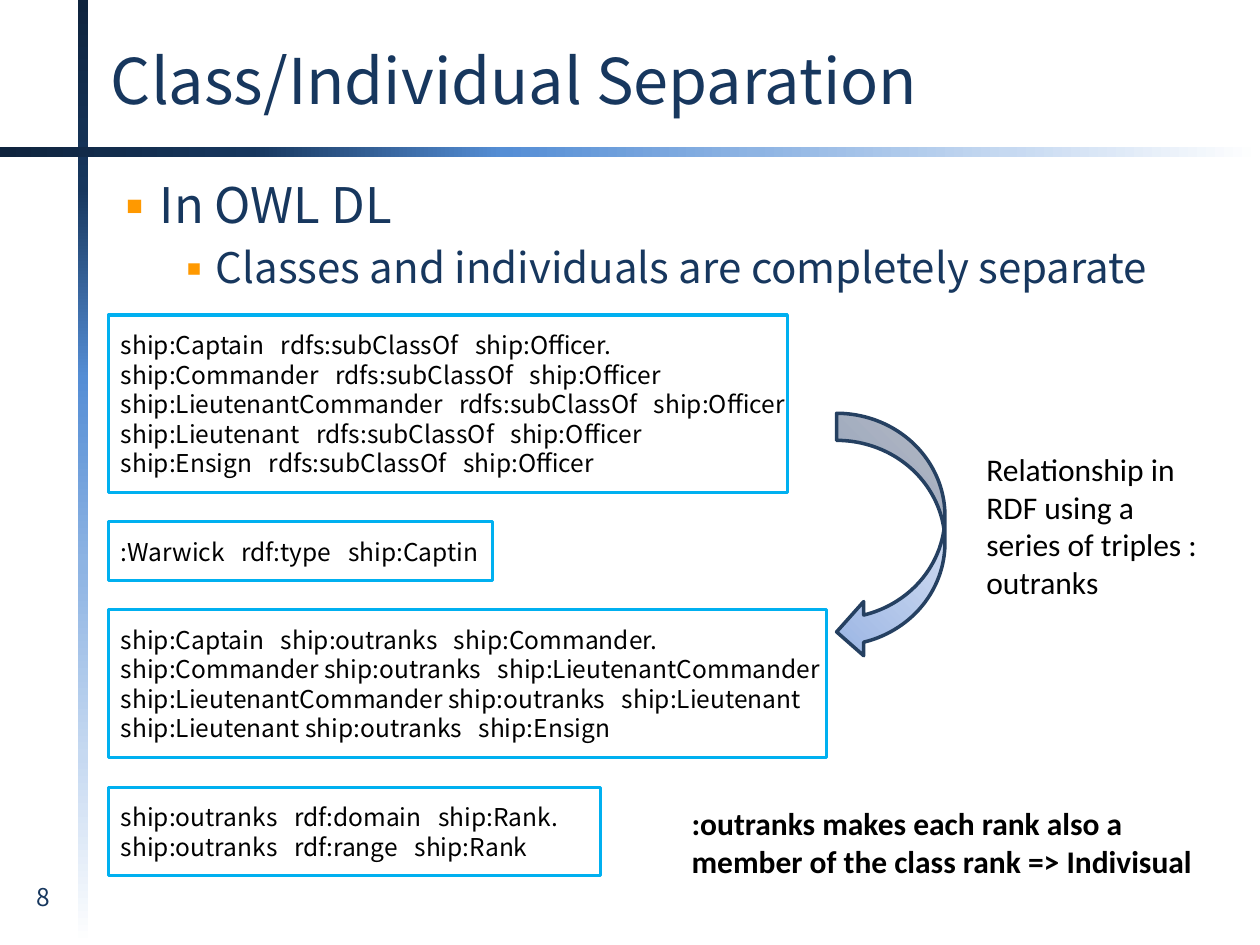
"""Build a slide on separating classes and individuals in OWL DL."""
from dataclasses import dataclass

import lxml.etree
import pptx
import pptx.dml.color
import pptx.enum.shapes
import pptx.enum.text
import pptx.oxml
import pptx.oxml.ns
import pptx.util

Inches = pptx.util.Inches
Pt = pptx.util.Pt
RGBColor = pptx.dml.color.RGBColor
Shapes = pptx.enum.shapes.MSO_SHAPE
Align = pptx.enum.text.PP_ALIGN
Anchor = pptx.enum.text.MSO_ANCHOR
AutoSize = pptx.enum.text.MSO_AUTO_SIZE

NAVY = RGBColor(0x17, 0x37, 0x5E)
BLACK = RGBColor(0, 0, 0)
CYAN = RGBColor(0x00, 0xB0, 0xF0)
ORANGE = RGBColor(0xFF, 0x99, 0x00)
ARROW_LINE = RGBColor(0x25, 0x40, 0x61)
BAR_COLORS = [RGBColor.from_string(color) for color in
              ("0F243E", "17375E", "558ED5", "8EB4E3", "C6D9F1", "FFFFFF")]
ARROW_COLORS = [RGBColor.from_string(color) for color in ("9AB5E4", "C2D1ED", "E1E8F5")]
MAIN_FONT = "Noto Sans CJK KR"
NOTE_FONT = "Calibri"
LINE_RATIO = 1.21
DOWN = '<a:lin ang="5400000" scaled="0"/>'
ACROSS = '<a:lin ang="0" scaled="0"/>'
FROM_CORNER = '<a:path path="circle"><a:fillToRect t="100000" r="100000"/></a:path>'


@dataclass
class Box:
    left: float
    top: float
    width: float
    height: float

    def lengths(self) -> list:
        return [Inches(value) for value in (self.left, self.top, self.width, self.height)]


@dataclass
class Style:
    size: int
    font: str = MAIN_FONT
    color: RGBColor = BLACK
    bold: bool = False


@dataclass
class Bullet:
    text: str
    level: int
    size: int
    margin: float
    hanging: float


@dataclass
class CodeBox:
    box: Box
    lines: list


CODE_BOXES = [
    CodeBox(Box(0.86, 2.5, 5.39, 1.41), [
        "ship:Captain   rdfs:subClassOf   ship:Officer.",
        "ship:Commander   rdfs:subClassOf   ship:Officer",
        "ship:LieutenantCommander   rdfs:subClassOf   ship:Officer",
        "ship:Lieutenant   rdfs:subClassOf   ship:Officer",
        "ship:Ensign   rdfs:subClassOf   ship:Officer"]),
    CodeBox(Box(0.86, 4.14, 3.05, 0.47), [":Warwick   rdf:type   ship:Captin"]),
    CodeBox(Box(0.86, 4.84, 5.7, 1.17), [
        "ship:Captain   ship:outranks   ship:Commander.",
        "ship:Commander ship:outranks   ship:LieutenantCommander",
        "ship:LieutenantCommander ship:outranks   ship:Lieutenant",
        "ship:Lieutenant ship:outranks   ship:Ensign"]),
    CodeBox(Box(0.86, 6.25, 3.91, 0.7), [
        "ship:outranks   rdf:domain   ship:Rank.",
        "ship:outranks   rdf:range   ship:Rank"]),
]
BULLETS = [
    Bullet("In OWL DL", 0, 28, 0.38, 0.38),
    Bullet("Classes and individuals are completely separate", 1, 24, 0.81, 0.31),
]


def place(shape, box: Box) -> None:
    shape.left, shape.top, shape.width, shape.height = box.lengths()


def add_run(paragraph, text: str, style: Style, align=Align.LEFT) -> None:
    paragraph.alignment = align
    if style.font == MAIN_FONT:
        paragraph.line_spacing = Pt(round(style.size * LINE_RATIO, 1))
    run = paragraph.add_run()
    run.text = text
    run.font.name = style.font
    run.font.size = Pt(style.size)
    run.font.bold = style.bold
    run.font.color.rgb = style.color


def add_lines(frame, lines: list, style: Style, align=Align.LEFT) -> None:
    for index, line in enumerate(lines):
        paragraph = frame.add_paragraph() if index else frame.paragraphs[0]
        add_run(paragraph, line, style, align)


def add_shape(slide, kind, box: Box):
    shape = slide.shapes.add_shape(kind, *box.lengths())
    shape.shadow.inherit = False
    return shape


def set_gradient(shape, colors: list, direction: str) -> None:
    step = 100000 // (len(colors) - 1)
    stops = "".join(f'<a:gs pos="{index * step}"><a:srgbClr val="{color}"/></a:gs>'
                    for index, color in enumerate(colors))
    gradient = pptx.oxml.parse_xml(
        f'<a:gradFill {pptx.oxml.ns.nsdecls("a")} rotWithShape="1">'
        f'<a:gsLst>{stops}</a:gsLst>{direction}</a:gradFill>')
    shape.element.spPr.find(pptx.oxml.ns.qn("a:prstGeom")).addnext(gradient)


def add_bar(slide, box: Box, direction: str) -> None:
    bar = add_shape(slide, Shapes.RECTANGLE, box)
    bar.line.fill.background()
    set_gradient(bar, BAR_COLORS, direction)


def fill_bullet(paragraph, bullet: Bullet) -> None:
    properties = paragraph._p.get_or_add_pPr()
    properties.set("marL", str(Inches(bullet.margin)))
    properties.set("indent", str(-Inches(bullet.hanging)))
    color = lxml.etree.SubElement(properties, pptx.oxml.ns.qn("a:buClr"))
    lxml.etree.SubElement(color, pptx.oxml.ns.qn("a:srgbClr"), val=str(ORANGE))
    lxml.etree.SubElement(properties, pptx.oxml.ns.qn("a:buFont"), typeface=MAIN_FONT)
    lxml.etree.SubElement(properties, pptx.oxml.ns.qn("a:buChar"), char="▪")
    paragraph.level = bullet.level
    paragraph.space_before = Pt(4.8 if bullet.level else 0)
    add_run(paragraph, bullet.text, Style(bullet.size, color=NAVY))


def add_code_box(slide, code: CodeBox) -> None:
    shape = add_shape(slide, Shapes.RECTANGLE, code.box)
    shape.fill.background()
    shape.line.color.rgb = CYAN
    shape.line.width = Pt(1.75)
    shape.text_frame.word_wrap = False
    shape.text_frame.vertical_anchor = Anchor.MIDDLE
    add_lines(shape.text_frame, code.lines, Style(14))


def add_note(slide, box: Box, text: str, style: Style, align=Align.LEFT) -> None:
    frame = slide.shapes.add_textbox(*box.lengths()).text_frame
    frame.word_wrap = True
    add_lines(frame, [text], style, align)


def main() -> None:
    presentation = pptx.Presentation()
    presentation.slide_width = Inches(10)
    presentation.slide_height = Inches(7.5)
    slide = presentation.slides.add_slide(presentation.slide_layouts[1])

    add_bar(slide, Box(0.62, 0, 0.08, 7.5), DOWN)
    add_bar(slide, Box(0, 1.17, 10, 0.08), ACROSS)

    title, body = slide.placeholders
    place(title, Box(0.78, 0.16, 8.05, 0.94))
    title.text_frame.vertical_anchor = Anchor.MIDDLE
    add_lines(title.text_frame, ["Class/Individual Separation"], Style(36, color=NAVY))
    place(body, Box(0.78, 1.33, 9, 6.02))
    for frame in (title.text_frame, body.text_frame):
        frame.auto_size = AutoSize.NONE
    for index, bullet in enumerate(BULLETS):
        frame = body.text_frame
        fill_bullet(frame.add_paragraph() if index else frame.paragraphs[0], bullet)

    add_note(slide, Box(0.06, 6.95, 0.57, 0.4), "8", Style(14, color=NAVY), Align.CENTER)
    for code in CODE_BOXES:
        add_code_box(slide, code)
    add_note(slide, Box(5.39, 6.33, 4.38, 1.01),
             ":outranks makes each rank also a member of the class rank => Indivisual",
             Style(18, NOTE_FONT, bold=True))
    arrow = add_shape(slide, Shapes.CURVED_LEFT_ARROW, Box(6.64, 3.28, 0.86, 1.95))
    set_gradient(arrow, ARROW_COLORS, FROM_CORNER)
    arrow.line.color.rgb = ARROW_LINE
    arrow.line.width = Pt(2)
    add_note(slide, Box(7.73, 3.52, 1.88, 1.31),
             "Relationship in RDF using a series of triples : outranks", Style(18, NOTE_FONT))

    presentation.save("out.pptx")


if __name__ == "__main__":
    main()
